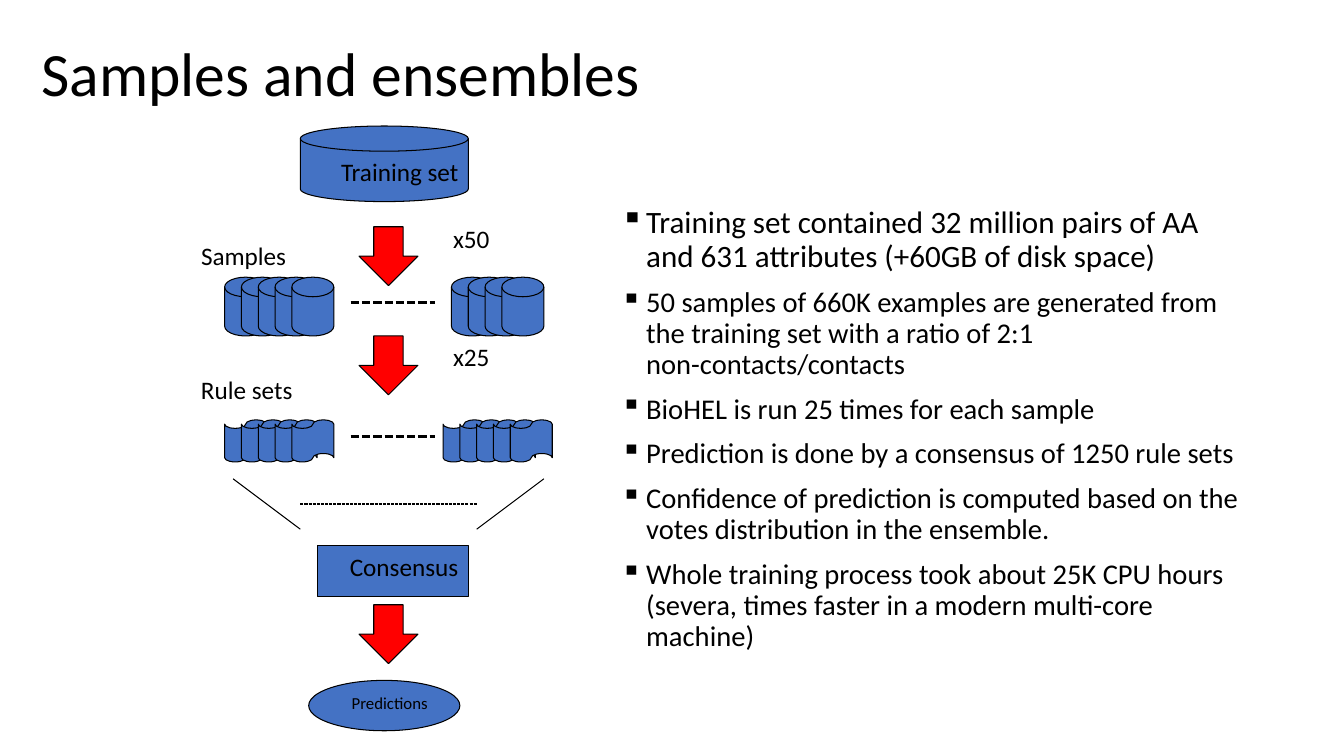
from lxml import etree
from pptx import Presentation
from pptx.dml.color import RGBColor
from pptx.enum.dml import MSO_LINE
from pptx.enum.shapes import MSO_CONNECTOR, MSO_SHAPE
from pptx.enum.text import MSO_ANCHOR, PP_ALIGN
from pptx.oxml.ns import qn
from pptx.util import Pt

PX = 9525
BLACK = RGBColor(0x00, 0x00, 0x00)
BLUE = RGBColor(0x44, 0x72, 0xC4)
RED = RGBColor(0xFF, 0x00, 0x00)
FONT = "Calibri"
DISK = MSO_SHAPE.FLOWCHART_MAGNETIC_DISK
TAPE = MSO_SHAPE.FLOWCHART_PUNCHED_TAPE
ARROW = MSO_SHAPE.DOWN_ARROW
RECTANGLE = MSO_SHAPE.RECTANGLE
OVAL = MSO_SHAPE.FLOWCHART_CONNECTOR
STRAIGHT = MSO_CONNECTOR.STRAIGHT
DASH = MSO_LINE.SQUARE_DOT  # stored as sysDot's sibling preset "sysDash" below
TOP, MIDDLE = MSO_ANCHOR.TOP, MSO_ANCHOR.MIDDLE
LEFT, RIGHT = PP_ALIGN.LEFT, PP_ALIGN.RIGHT

POINTS = [
    "Training set contained 32 million pairs of AA and 631 attributes (+60GB of disk space)",
    "50 samples of 660K examples are generated from the training set with a ratio of 2:1 "
    "non-contacts/contacts",
    "BioHEL is run 25 times for each sample",
    "Prediction is done by a consensus of 1250 rule sets",
    "Confidence of prediction is computed based on the votes distribution in the ensemble.",
    "Whole training process took about 25K CPU hours (severa, times faster in a modern "
    "multi-core machine)",
]


def emu(*lengths):
    return [length * PX for length in lengths]


def style(para, size, align=LEFT):
    para.alignment = align
    para.font.name = FONT
    para.font.size = Pt(size)
    para.font.color.rgb = BLACK


def add_text(page, box, text, size, anchor=TOP, wrap=False):
    frame = page.shapes.add_textbox(*emu(*box)).text_frame
    frame.word_wrap = wrap
    frame.vertical_anchor = anchor
    frame.text = text
    for para in frame.paragraphs:
        style(para, size)
    return frame


def add_node(page, kind, box, fill=BLUE, text="", size=18):
    node = page.shapes.add_shape(kind, *emu(*box))
    node.shadow.inherit = False
    node.fill.solid()
    node.fill.fore_color.rgb = fill
    node.line.color.rgb = BLACK
    node.line.width = Pt(0.75)
    if text:
        node.text_frame.text = text
        node.text_frame.vertical_anchor = TOP
        style(node.text_frame.paragraphs[0], size, RIGHT)


def add_line(page, start, end, width=0.75, dashed=False):
    line = page.shapes.add_connector(STRAIGHT, *emu(*start, *end))
    line.line.color.rgb = BLACK
    line.line.width = Pt(width)
    if dashed:
        line.line.dash_style = DASH
        line.line._ln.find(qn("a:prstDash")).set("val", "sysDash")
    etree.SubElement(line._element.spPr, qn("a:effectLst"))


def add_title(page, box):
    frame = add_text(page, box, "Samples and ensembles", 44, MIDDLE, True)
    frame.paragraphs[0].line_spacing = 0.9


def add_points(page, box):
    frame = add_text(page, box, "\n".join(POINTS), 20.4, wrap=True)
    for index, para in enumerate(frame.paragraphs):
        para.line_spacing = 0.9
        para.space_before = Pt(10 if index else 0)
        properties = para._p.get_or_add_pPr()
        properties.set("marL", str(24 * PX))
        properties.set("indent", str(-24 * PX))
        bullet = etree.Element(qn("a:buChar"), char="▪")
        properties.find(qn("a:defRPr")).addprevious(bullet)
    frame.paragraphs[0].font.size = Pt(22.2)


def add_pipeline(page, left, top):
    def at(x, y, *size):
        return (left + x, top + y, *size)

    add_node(page, DISK, at(104, 0, 160, 72), text="Training set")

    stacks = [(DISK, 32, 144, 56, 5), (DISK, 248, 144, 56, 4),
              (TAPE, 32, 280, 40, 5), (TAPE, 240, 280, 40, 5)]
    for kind, x, y, height, count in stacks:
        for index in range(count):
            add_node(page, kind, at(x + 16 * index, y, 40, height))
    for y in (168, 296):
        add_line(page, at(152, y), at(232, y), 2, True)
    for y in (96, 200, 456):
        add_node(page, ARROW, at(160, y, 56, 56), RED)

    labels = [("x50", 240, 88, 55), ("x25", 240, 200, 55),
              ("Samples", 0, 104, 102), ("Rule sets", 0, 232, 108)]
    for text, x, y, width in labels:
        add_text(page, at(x, y, width, 38), text, 18)

    for outer, inner in ((40, 104), (336, 272)):
        add_line(page, at(outer, 336), at(inner, 384))
    add_line(page, at(104, 360), at(272, 360), dashed=True)
    add_node(page, RECTANGLE, at(120, 400, 144, 48), text="Consensus")
    add_node(page, OVAL, at(112, 528, 144, 48), text="Predictions", size=12)


def main():
    deck = Presentation()
    deck.slide_width, deck.slide_height = emu(1280, 720)
    page = deck.slides.add_slide(deck.slide_layouts[6])
    add_title(page, (30, 3, 1104, 139))
    add_points(page, (582, 192, 611, 457))
    add_pipeline(page, 182, 120)
    deck.save("out.pptx")


if __name__ == "__main__":
    main()
